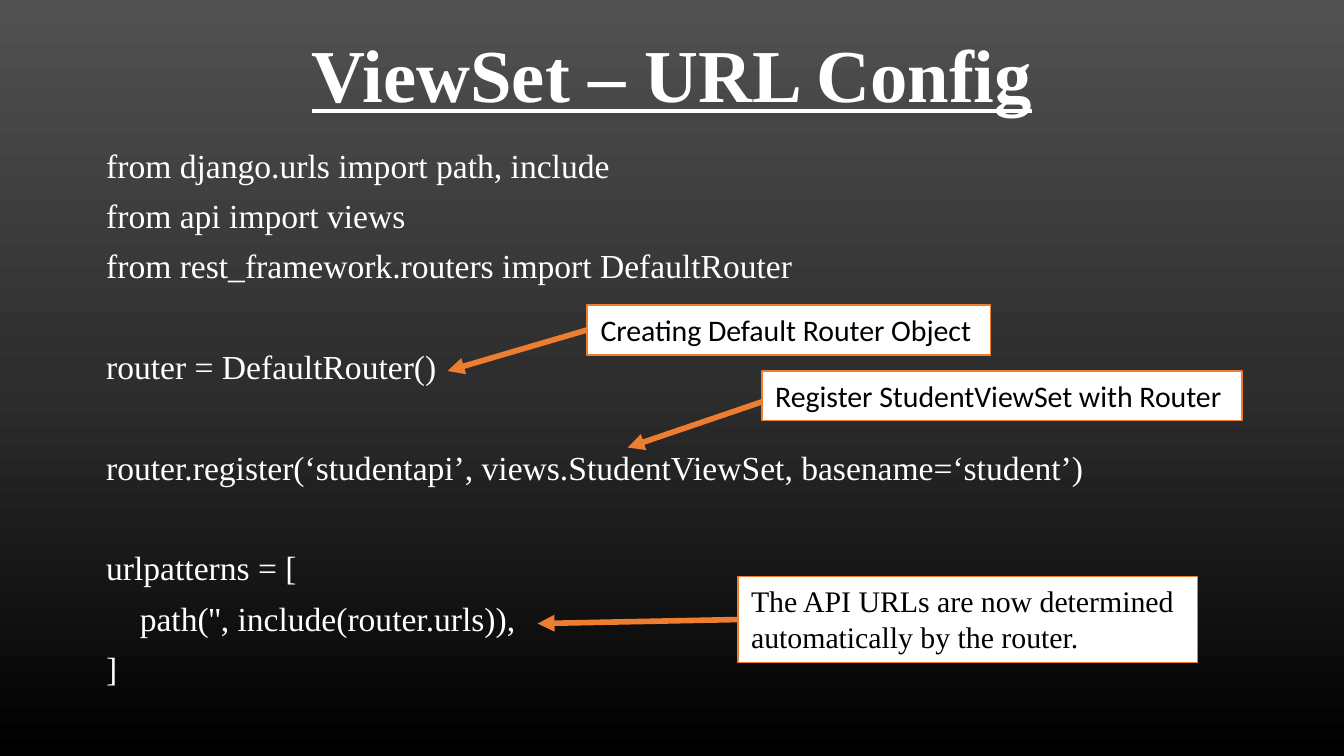
from copy import deepcopy

from lxml.etree import SubElement
from pptx import Presentation
from pptx.dml.color import RGBColor
from pptx.enum.shapes import MSO_CONNECTOR
from pptx.enum.text import MSO_ANCHOR, MSO_AUTO_SIZE, PP_ALIGN
from pptx.oxml.ns import qn
from pptx.util import Inches, Pt

COLORS = {"white": "FFFFFF", "black": "000000", "accent": "ED7D31",
          "top": "515151", "middle": "2E2E2E", "bottom": "000000"}
SERIF, SANS = "Times New Roman", "Calibri"
SPACE, BLANK_LINE = 7.5, 34.5

# Code lines: text, space before in points, indent in inches
CODE = [
    ("from django.urls import path, include", SPACE, 0),
    ("from api import views", SPACE, 0),
    ("from rest_framework.routers import DefaultRouter", SPACE, 0),
    ("router = DefaultRouter()", BLANK_LINE, 0),
    ("router.register(‘studentapi’, views.StudentViewSet, basename=‘student’)", BLANK_LINE, 0),
    ("urlpatterns = [", BLANK_LINE, 0),
    ("path('', include(router.urls)),", SPACE, 0.25),
    ("]", SPACE, 0),
]


def rgb(name):
    return RGBColor.from_string(COLORS[name])


class SlideBuilder:
    def __init__(self, prs):
        self.s = prs.slides.add_slide(prs.slide_layouts[1])

    def background(self):
        fill = self.s.background.fill
        fill.gradient()
        fill.gradient_angle = 270
        gs_list = self.s.element.find(".//" + qn("a:gsLst"))
        gs_list.insert(1, deepcopy(gs_list[0]))
        for stop, name, pos in zip(fill.gradient_stops, ("top", "middle", "bottom"), (0, 0.5, 1)):
            stop.color.rgb = rgb(name)
            stop.position = pos

    def place(self, sp, left, top, width, height):
        sp.left, sp.top = Inches(left), Inches(top)
        sp.width, sp.height = Inches(width), Inches(height)

    def run(self, p, text, size, font, color):
        r = p.add_run()
        r.text = text
        r.font.size, r.font.name = Pt(size), font
        r.font.color.rgb = rgb(color)
        return r

    def title(self, text, *box):
        sp = self.s.shapes.title
        self.place(sp, *box)
        tf = sp.text_frame
        tf.auto_size = MSO_AUTO_SIZE.NONE
        tf.vertical_anchor = MSO_ANCHOR.MIDDLE
        p = tf.paragraphs[0]
        p.alignment, p.line_spacing = PP_ALIGN.CENTER, 0.9
        r = self.run(p, text, 40, SERIF, "white")
        r.font.bold = r.font.underline = True

    def code(self, lines, *box):
        sp = self.s.placeholders[1]
        self.place(sp, *box)
        tf = sp.text_frame
        tf.auto_size = MSO_AUTO_SIZE.NONE
        for i, (text, before, indent) in enumerate(lines):
            p = tf.add_paragraph() if i else tf.paragraphs[0]
            p.line_spacing, p.space_before = 0.9, Pt(before)
            pPr = p._p.get_or_add_pPr()
            pPr.set("marL", str(Inches(indent)))
            pPr.set("indent", "0")
            SubElement(pPr, qn("a:buNone"))
            self.run(p, text, 18, SERIF, "white")

    def callout(self, text, font, wrap, *box):
        sp = self.s.shapes.add_textbox(*map(Inches, box))
        sp.fill.solid()
        sp.fill.fore_color.rgb = rgb("white")
        sp.line.color.rgb = rgb("accent")
        sp.line.width = Pt(1)
        tf = sp.text_frame
        tf.word_wrap = wrap
        tf.auto_size = MSO_AUTO_SIZE.SHAPE_TO_FIT_TEXT
        self.run(tf.paragraphs[0], text, 16, font, "black")
        return sp

    def arrow(self, start, end, source=None):
        line = self.s.shapes.add_connector(MSO_CONNECTOR.STRAIGHT, *map(Inches, start + end))
        if source is not None:
            line.begin_connect(source, 1)
        line.line.color.rgb = rgb("accent")
        line.line.width = Pt(3)
        SubElement(line.line._get_or_add_ln(), qn("a:tailEnd"), type="triangle")
        SubElement(line._element.spPr, qn("a:effectLst"))


def main():
    prs = Presentation()
    # Widescreen, 16:9
    prs.slide_width = Inches(10)
    prs.slide_height = prs.slide_width * 9 // 16
    slide = SlideBuilder(prs)
    slide.background()

    # Title and code
    slide.title("ViewSet – URL Config", 0.69, 0.04, 8.62, 1.09)
    slide.code(CODE, 0.69, 1.06, 8.62, 4.33)

    # Callouts
    create = slide.callout("Creating Default Router Object", SANS, False, 4.37, 2.27, 3, 0.37)
    slide.callout("Register StudentViewSet with Router", SANS, False, 5.67, 2.76, 3.57, 0.37)
    urls = slide.callout("The API URLs are now determined automatically by the router.",
                         SERIF, True, 5.49, 4.29, 3.42, 0.64)

    # Arrows from callouts to code
    slide.arrow((4.37, 2.45), (3.33, 2.76), create)
    slide.arrow((5.67, 2.99), (4.67, 3.33))
    slide.arrow((5.49, 4.61), (4, 4.64), urls)

    prs.save("out.pptx")


if __name__ == "__main__":
    main()
